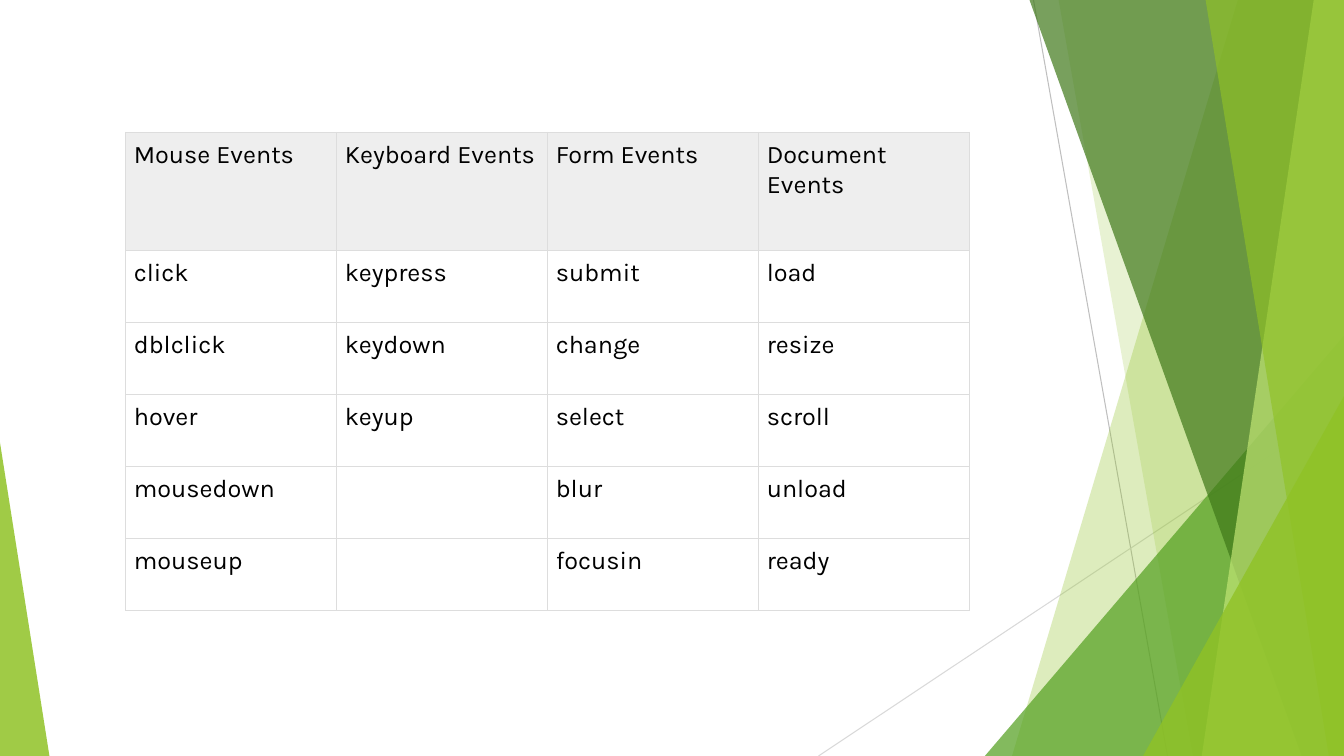
from lxml import etree
from pptx import Presentation
from pptx import util as u
from pptx.dml.color import RGBColor
from pptx.enum import shapes, text
from pptx.oxml.ns import qn

LIME = RGBColor(0x90, 0xC2, 0x26)
PALE_LIME = RGBColor(0xC0, 0xE4, 0x74)
GREEN = RGBColor(0x54, 0xA0, 0x21)
DARK_GREEN = RGBColor(0x3F, 0x78, 0x19)
GREY = RGBColor(0xBF, 0xBF, 0xBF)
LIGHT_GREY = RGBColor(0xD9, 0xD9, 0xD9)
BORDER = RGBColor(0xDD, 0xDD, 0xDD)
HEADER = RGBColor(0xEE, 0xEE, 0xEE)
BLACK = RGBColor(0, 0, 0)

EVENTS = [
    ["Mouse Events", "Keyboard Events", "Form Events", "Document Events"],
    ["click", "keypress", "submit", "load"],
    ["dblclick", "keydown", "change", "resize"],
    ["hover", "keyup", "select", "scroll"],
    ["mousedown", "", "blur", "unload"],
    ["mouseup", "", "focusin", "ready"],
]


def write(tf, words, font="Karla", size=18, color=BLACK, align=text.PP_ALIGN.LEFT):
    p = tf.paragraphs[0]
    p.alignment = align
    r = p.add_run()
    r.text = words
    r.font.name, r.font.size, r.font.color.rgb = font, u.Pt(size), color


class Deck:
    """Slide builder; every length is a percentage of the slide's size."""

    line_width = u.Pt(0.75)
    cell_inset = u.Inches(0.08)

    def __init__(self, prs):
        self.width, self.height = prs.slide_width, prs.slide_height
        self.s = prs.slides.add_slide(prs.slide_layouts[6])

    def x(self, share):
        return round(self.width * share / 100)

    def y(self, share):
        return round(self.height * share / 100)

    def line(self, x1, y1, x2, y2, color):
        c = self.s.shapes.add_connector(
            shapes.MSO_CONNECTOR.STRAIGHT, self.x(x1), self.y(y1), self.x(x2), self.y(y2))
        c.line.color.rgb, c.line.width = color, self.line_width
        etree.SubElement(c.element.spPr, qn("a:effectLst"))

    def paint(self, sp, color, opacity):
        sp.shadow.inherit = False
        sp.fill.solid()
        sp.fill.fore_color.rgb = color
        rgb = sp.element.spPr.find(f"{qn('a:solidFill')}/{qn('a:srgbClr')}")
        etree.SubElement(rgb, qn("a:alpha"), val=str(opacity * 1000))
        sp.line.fill.background()

    def band(self, top, bottom, color, opacity):
        """Full-height band from a slanted left edge to the slide's right edge."""
        fb = self.s.shapes.build_freeform(self.x(top), 0)
        fb.add_line_segments([(self.width, 0), (self.width, self.height),
                              (self.x(bottom), self.height)], close=True)
        self.paint(fb.convert_to_shape(), color, opacity)

    def corner(self, left, right, top, apex, color, opacity):
        """Triangle standing on the slide's bottom edge."""
        sp = self.s.shapes.add_shape(
            shapes.MSO_SHAPE.ISOSCELES_TRIANGLE, self.x(left), self.y(top),
            self.x(right - left), self.y(100 - top))
        sp.adjustments[0] = apex
        self.paint(sp, color, opacity)

    def cell(self, cell, words, fill):
        cell.margin_left = cell.margin_right = self.cell_inset
        cell.margin_top = cell.margin_bottom = self.cell_inset
        tc_pr = cell._tc.get_or_add_tcPr()
        for side in "LRTB":
            ln = etree.SubElement(tc_pr, qn(f"a:ln{side}"), w=str(self.line_width))
            solid = etree.SubElement(ln, qn("a:solidFill"))
            etree.SubElement(solid, qn("a:srgbClr"), val=str(BORDER))
        if fill is None:
            cell.fill.background()
        else:
            cell.fill.solid()
            cell.fill.fore_color.rgb = fill
        if words:
            write(cell.text_frame, words)

    def table(self, rows, left, top, col, head, row):
        heights = [head] + [row] * (len(rows) - 1)
        tbl = self.s.shapes.add_table(
            len(rows), len(rows[0]), self.x(left), self.y(top),
            self.x(col * len(rows[0])), self.y(sum(heights))).table
        tbl.first_row = tbl.horz_banding = False
        for column in tbl.columns:
            column.width = self.x(col)
        for i, (height, words) in enumerate(zip(heights, rows)):
            tbl.rows[i].height = self.y(height)
            for j, word in enumerate(words):
                self.cell(tbl.cell(i, j), word, HEADER if i == 0 else None)


def main():
    prs = Presentation()
    prs.slide_width, prs.slide_height = u.Inches(13.33), u.Inches(7.5)
    deck = Deck(prs)

    # Thin crossing lines
    deck.line(76.9, 0, 86.87, 100, GREY)
    deck.line(100, 53.73, 60.9, 100, LIGHT_GREY)

    # Translucent facets on the right, back to front
    deck.band(92.1, 75.3, LIME, 30)
    deck.band(78.77, 88.75, LIME, 20)
    deck.corner(73.28, 100, 44.4, 1, GREEN, 72)
    deck.band(76.6, 96.85, DARK_GREEN, 70)
    deck.band(97.75, 89.42, PALE_LIME, 70)
    deck.band(89.7, 98.87, LIME, 65)
    deck.corner(85.05, 100, 52.4, 1, LIME, 80)

    # Wedge at the lower left
    deck.corner(0, 3.68, 58.53, 0, LIME, 85)

    # Event table
    deck.table(EVENTS, left=9.36, top=17.5, col=15.7, head=15.6, row=9.52)

    prs.save("out.pptx")


if __name__ == "__main__":
    main()
